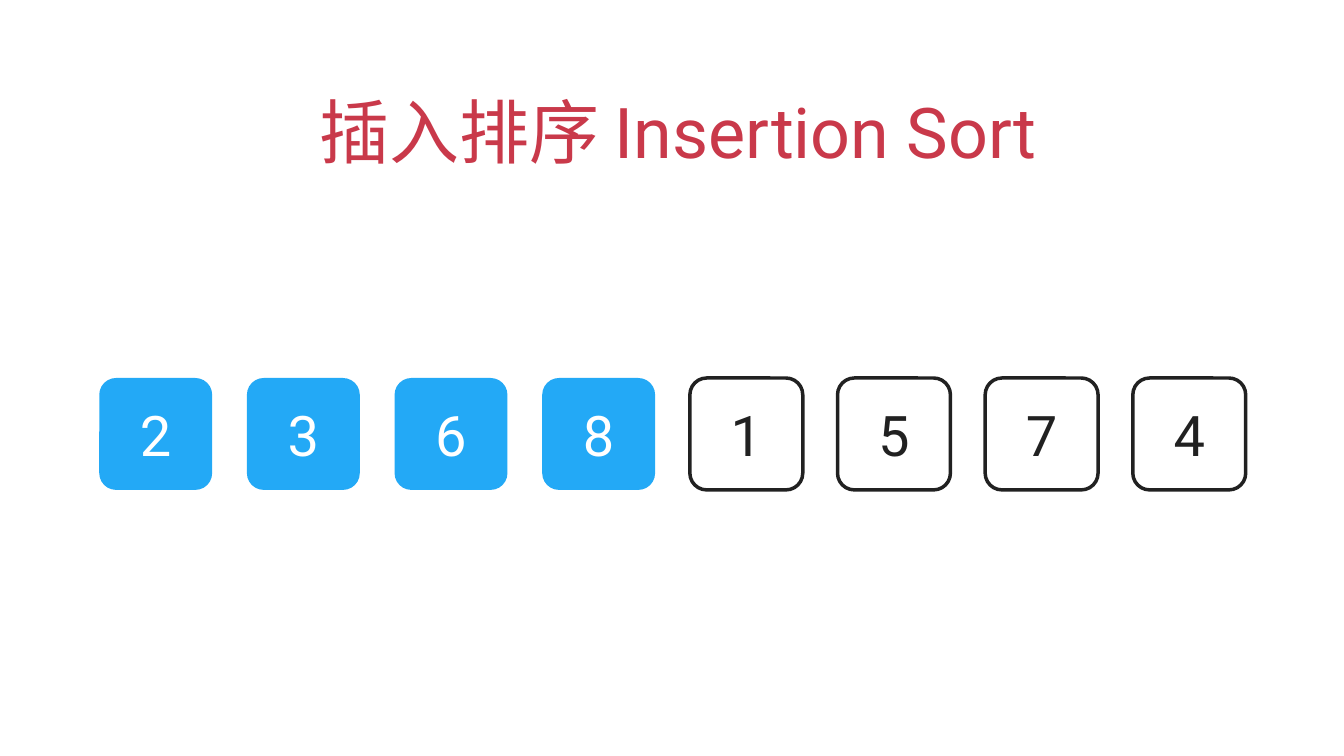
"""Build a slide showing one step of insertion sort."""
from dataclasses import dataclass

from pptx import Presentation
from pptx.dml.color import RGBColor
from pptx.enum.shapes import MSO_SHAPE
from pptx.enum.text import MSO_ANCHOR, PP_ALIGN
from pptx.util import Inches, Pt

ROUNDED = MSO_SHAPE.ROUNDED_RECTANGLE
MIDDLE, BOTTOM = MSO_ANCHOR.MIDDLE, MSO_ANCHOR.BOTTOM
CENTER = PP_ALIGN.CENTER

RED = RGBColor(0xC9, 0x39, 0x4A)
BLUE = RGBColor(0x23, 0xA9, 0xF6)
INK = RGBColor(0x21, 0x21, 0x21)
WHITE = RGBColor(0xFF, 0xFF, 0xFF)

FONT = "Roboto"
SLIDE_WIDTH, SLIDE_HEIGHT = 26.67, 15
ROW_LEFT, ROW_TOP = 1.97, SLIDE_HEIGHT / 2
PITCH, TILE_WIDTH, TILE_HEIGHT = 2.93, 2.24, 2.22
NUMBERS = (2, 3, 6, 8, 1, 5, 7, 4)
SORTED_COUNT = 4


@dataclass(frozen=True)
class Tile:
    """A number at its column in the array."""
    column: int
    number: int
    is_sorted: bool


def write(frame, text: str, size: int, color: RGBColor, anchor) -> None:
    """Fill a text frame with one centred, formatted line."""
    frame.word_wrap = True
    frame.vertical_anchor = anchor
    frame.margin_left = frame.margin_right = Inches(0.06)
    frame.margin_top = frame.margin_bottom = Inches(0.06)
    frame.text = text
    line = frame.paragraphs[0]
    line.alignment = CENTER
    font = line.runs[0].font
    font.name, font.size, font.color.rgb = FONT, Pt(size), color


def draw_title(slide, text: str) -> None:
    """Draw the heading with its first-line indent."""
    title = slide.shapes.add_textbox(
        Inches(1.94), Inches(1.27), Inches(22.78), Inches(2.22))
    write(title.text_frame, text, 100, RED, BOTTOM)
    properties = title.text_frame.paragraphs[0]._p.get_or_add_pPr()
    properties.set("marL", "0")
    properties.set("indent", str(Inches(0.25)))


def draw_tile(slide, tile: Tile) -> None:
    """Draw a filled tile if sorted, otherwise an outlined one."""
    square = slide.shapes.add_shape(
        ROUNDED, Inches(ROW_LEFT + tile.column * PITCH), Inches(ROW_TOP),
        Inches(TILE_WIDTH), Inches(TILE_HEIGHT))
    square.adjustments[0] = 0.15
    square.shadow.inherit = False
    if tile.is_sorted:
        square.fill.solid()
        square.fill.fore_color.rgb = BLUE
        square.line.fill.background()
    else:
        square.fill.background()
        square.line.color.rgb = INK
        square.line.width = Pt(5)
    write(square.text_frame, str(tile.number), 80,
          WHITE if tile.is_sorted else INK, MIDDLE)


def main() -> None:
    """Assemble and save the slide."""
    deck = Presentation()
    deck.slide_width, deck.slide_height = Inches(SLIDE_WIDTH), Inches(SLIDE_HEIGHT)
    slide = deck.slides.add_slide(deck.slide_layouts[6])
    draw_title(slide, "插入排序 Insertion Sort")
    for column, number in enumerate(NUMBERS):
        draw_tile(slide, Tile(column, number, column < SORTED_COUNT))
    deck.save("out.pptx")


if __name__ == "__main__":
    main()
